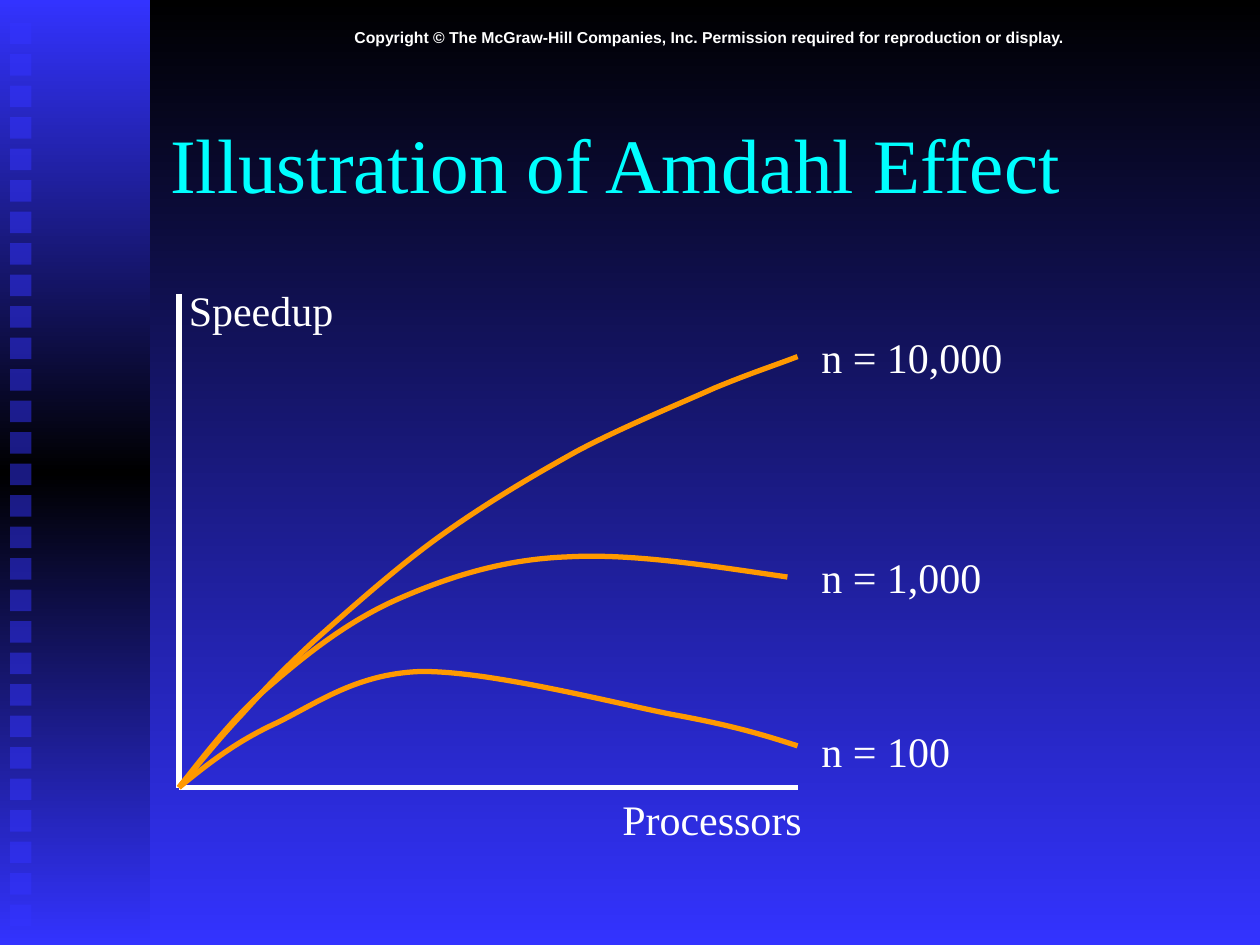
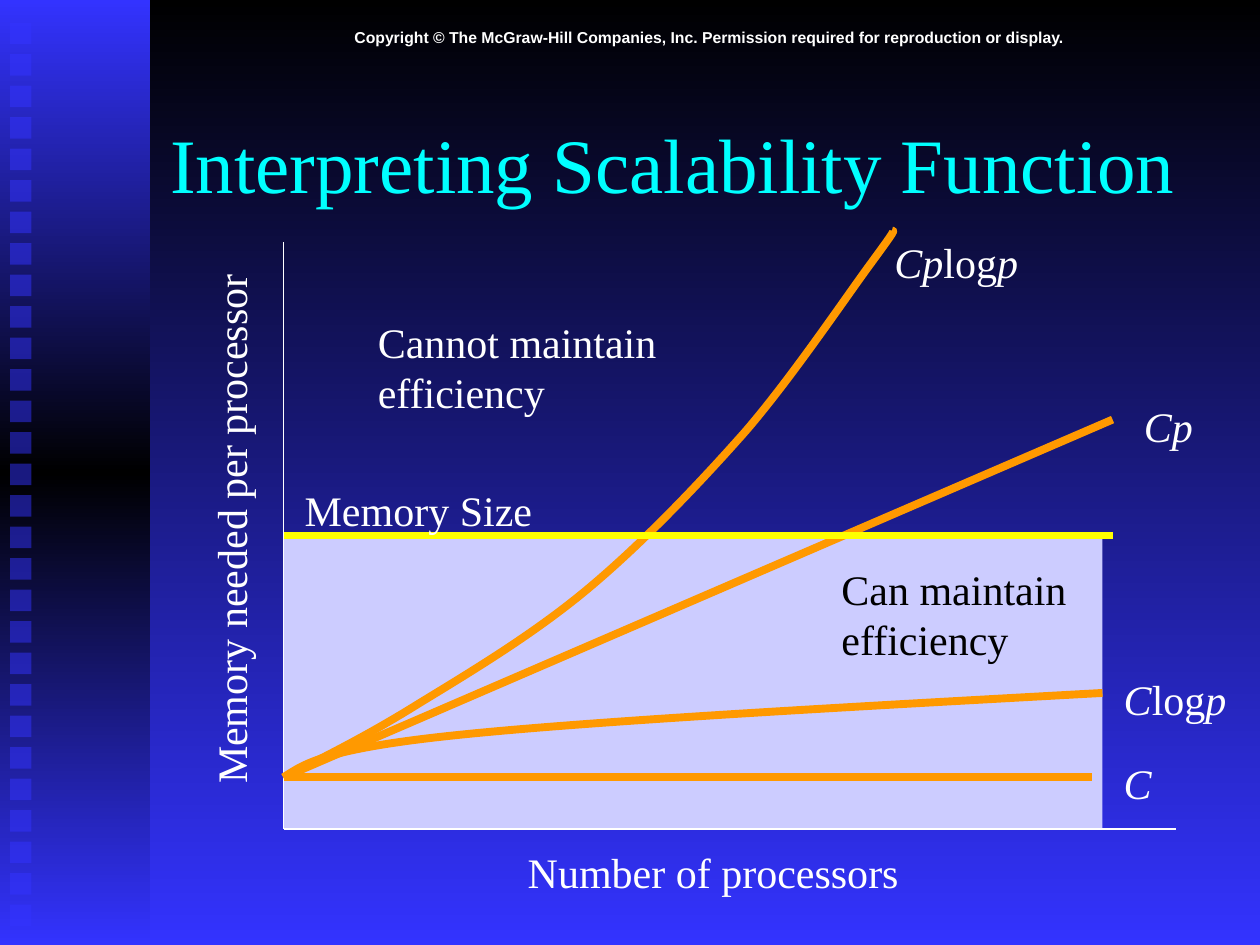
from dataclasses import dataclass
from typing import NamedTuple

from lxml import etree
from pptx import Presentation
from pptx import util as u
from pptx.dml.color import RGBColor
from pptx.enum import shapes, text
from pptx.oxml.ns import qn


@dataclass(frozen=True)
class Theme:
    black: str = "000000"
    blue: str = "3333FF"
    white: str = "FFFFFF"
    cyan: str = "00FFFF"
    orange: str = "FF9900"
    yellow: str = "FFFF00"
    lavender: str = "CCCCFF"
    serif: str = "Times New Roman"
    sans: str = "Arial"
    title_size: int = 44
    label_size: int = 24
    notice_size: int = 9


THEME = Theme()
NOTICE = ("Copyright © The McGraw-Hill Companies, Inc. "
          "Permission required for reproduction or display.")
Point = tuple[float, float]


class Area(NamedTuple):
    left: float
    top: float
    width: float
    height: float

    def lengths(self) -> list[u.Length]:
        return [u.Inches(value) for value in self]


class Label(NamedTuple):
    words: str
    area: Area
    color: str = THEME.white
    rotation: int = 0


class Line(NamedTuple):
    start: Point
    end: Point
    color: str
    width: float


class Curve(NamedTuple):
    start: Point
    controls: list[Point]
    width: float


class Series(NamedTuple):
    curve: Curve
    label: Label


def write(frame, words: str, *, size: int = THEME.label_size, font: str = THEME.serif,
          color: str = THEME.white, bold: bool = False,
          align=text.PP_ALIGN.LEFT) -> None:
    """Fill a text frame; words between asterisks are italic."""
    for number, line in enumerate(words.split("\n")):
        para = frame.paragraphs[0] if number == 0 else frame.add_paragraph()
        para.alignment = align
        for position, part in enumerate(line.split("*")):
            if part:
                span = para.add_run()
                span.text = part
                span.font.name = font
                span.font.size = u.Pt(size)
                span.font.bold = bold
                span.font.italic = position % 2 == 1
                span.font.color.rgb = RGBColor.from_string(color)


def paint_gradient(fill, owner, colors: list[str]) -> None:
    fill.gradient()
    fill.gradient_angle = 270
    stops = owner.find(".//" + qn("a:gsLst"))
    for stop in list(stops):
        stops.remove(stop)
    for number, color in enumerate(colors):
        place = str(100000 * number // (len(colors) - 1))
        stop = etree.SubElement(stops, qn("a:gs"), pos=place)
        etree.SubElement(stop, qn("a:srgbClr"), val=color)


def add_rectangle(holder, area: Area, color: str):
    box = holder.add_shape(shapes.MSO_SHAPE.RECTANGLE, *area.lengths())
    box.shadow.inherit = False
    box.line.fill.background()
    box.fill.solid()
    box.fill.fore_color.rgb = RGBColor.from_string(color)
    return box


def add_label(holder, label: Label) -> None:
    box = holder.add_textbox(*label.area.lengths())
    box.rotation = label.rotation
    box.text_frame.word_wrap = True
    box.text_frame.auto_size = text.MSO_AUTO_SIZE.NONE
    box.text_frame.margin_right = u.Inches(0)
    write(box.text_frame, label.words, color=label.color)


def style_line(line, color: str, width: float) -> None:
    line.color.rgb = RGBColor.from_string(color)
    line.width = u.Pt(width)


def add_line(holder, line: Line) -> None:
    ends = [u.Inches(value) for value in line.start + line.end]
    connector = holder.add_connector(shapes.MSO_CONNECTOR.STRAIGHT, *ends)
    style_line(connector.line, line.color, line.width)
    etree.SubElement(connector.element.spPr, qn("a:effectLst"))


def add_curve(holder, curve: Curve) -> None:
    builder = holder.build_freeform(*map(u.Inches, curve.start))
    builder.add_line_segments(
        [(u.Inches(x), u.Inches(y)) for x, y in curve.controls], close=False)
    outline = builder.convert_to_shape()
    outline.shadow.inherit = False
    outline.fill.background()
    style_line(outline.line, THEME.orange, curve.width)
    segments = outline.element.findall(".//" + qn("a:lnTo"))
    for first in range(0, len(segments), 3):
        bend = etree.Element(qn("a:cubicBezTo"))
        segments[first].addprevious(bend)
        for segment in segments[first:first + 3]:
            bend.append(segment[0])
            segment.getparent().remove(segment)


def add_page(deck, title: str):
    page = deck.slides.add_slide(deck.slide_layouts[5])
    heading = page.shapes.title
    heading.left, heading.top, heading.width, heading.height = Area(
        1.25, 0.67, 8.5, 1.25).lengths()
    heading.text_frame.auto_size = text.MSO_AUTO_SIZE.NONE
    heading.text_frame.vertical_anchor = text.MSO_ANCHOR.MIDDLE
    write(heading.text_frame, title, size=THEME.title_size, color=THEME.cyan)
    return page


def decorate_layout(layout, page) -> None:
    for holder in list(layout.placeholders):
        if holder.placeholder_format.idx != 0:
            layout.shapes.element.remove(holder.element)
    paint_gradient(layout.background.fill, layout.element, [THEME.black, THEME.blue])

    group = page.shapes.add_group_shape()
    band = add_rectangle(group.shapes, Area(0, 0, 1.19, 7.5), THEME.blue)
    paint_gradient(band.fill, band.element, [THEME.blue, THEME.black, THEME.blue])
    for row in range(29):
        square = add_rectangle(
            group.shapes, Area(0.08, 0.18 + 0.25 * row, 0.17, 0.17), THEME.blue)
        color = square.element.spPr.find(".//" + qn("a:srgbClr"))
        etree.SubElement(color, qn("a:alpha"), val="50000")

    notice = group.shapes.add_textbox(*Area(1.25, 0.17, 8.75, 0.25).lengths())
    notice.text_frame.word_wrap = True
    write(notice.text_frame, NOTICE, size=THEME.notice_size, font=THEME.sans,
          bold=True, align=text.PP_ALIGN.CENTER)
    layout.shapes.element.insert(2, group.element)


def fill_amdahl_page(page) -> None:
    origin = (1.42, 6.25)
    for end in [(1.42, 2.33), (6.33, 6.25)]:
        add_line(page.shapes, Line(origin, end, THEME.white, 3))
    all_series = [
        Series(Curve(origin, [
            (1.63, 6.08), (1.85, 5.9), (2.17, 5.75),
            (2.49, 5.6), (2.81, 5.35), (3.33, 5.33),
            (3.86, 5.32), (4.83, 5.57), (5.33, 5.67),
            (5.83, 5.76), (6.08, 5.84), (6.33, 5.92)], 3),
            Label("n = 100", Area(6.42, 5.71, 1.22, 0.5))),
        Series(Curve(origin, [
            (1.65, 5.96), (1.87, 5.67), (2.17, 5.42),
            (2.46, 5.17), (2.78, 4.92), (3.17, 4.75),
            (3.56, 4.58), (3.99, 4.44), (4.5, 4.42),
            (5.01, 4.39), (5.63, 4.49), (6.25, 4.58)], 3),
            Label("n = 1,000", Area(6.42, 4.33, 1.47, 0.5))),
        Series(Curve(origin, [
            (1.58, 6.06), (1.74, 5.86), (1.92, 5.67),
            (2.1, 5.47), (2.24, 5.32), (2.5, 5.08),
            (2.76, 4.85), (3.15, 4.5), (3.5, 4.25),
            (3.85, 4), (4.22, 3.78), (4.58, 3.58),
            (4.94, 3.39), (5.38, 3.21), (5.67, 3.08),
            (5.96, 2.96), (6.15, 2.9), (6.33, 2.83)], 3),
            Label("n = 10,000", Area(6.42, 2.58, 1.64, 0.5))),
    ]
    for series in all_series:
        group = page.shapes.add_group_shape()
        add_curve(group.shapes, series.curve)
        add_label(group.shapes, series.label)
    add_label(page.shapes, Label("Speedup", Area(1.4, 2.21, 1.35, 0.5)))
    add_label(page.shapes, Label("Processors", Area(4.84, 6.25, 1.62, 0.5)))


def fill_scalability_page(page) -> None:
    corner, start = (2.25, 6.58), (2.25, 6.17)
    add_rectangle(page.shapes, Area(2.25, 4.25, 6.5, 2.33), THEME.lavender)
    for end in [(2.25, 1.92), (9.33, 6.58)]:
        add_line(page.shapes, Line(corner, end, THEME.white, 0.75))
    for end in [(8.67, 6.17), (8.83, 3.33)]:
        add_line(page.shapes, Line(start, end, THEME.orange, 4.5))
    add_curve(page.shapes, Curve(start, [
        (2.59, 6), (2.93, 5.83), (3.33, 5.58),
        (3.74, 5.33), (4.24, 5.03), (4.67, 4.67),
        (5.1, 4.31), (5.54, 3.85), (5.92, 3.42),
        (6.29, 2.99), (6.72, 2.35), (6.92, 2.08),
        (7.11, 1.82), (7.1, 1.83), (7.08, 1.83)], 4.5))
    add_curve(page.shapes, Curve(start, [
        (2.42, 6.06), (2.58, 5.94), (3.67, 5.83),
        (4.75, 5.72), (6.75, 5.61), (8.75, 5.5)], 4.5))
    add_line(page.shapes, Line((2.25, 4.25), (8.83, 4.25), THEME.yellow, 4.5))
    labels = [
        Label("Number of processors", Area(4.09, 6.67, 3.14, 0.5)),
        Label("Memory needed per processor", Area(-0.29, 3.95, 4.24, 0.5), rotation=270),
        Label("*Cp*log*p*", Area(7, 1.83, 1.18, 0.5)),
        Label("*Cp*", Area(8.98, 3.13, 0.59, 0.5)),
        Label("*C*log*p*", Area(8.82, 5.3, 1.01, 0.5)),
        Label("*C*", Area(8.82, 5.96, 0.42, 0.5)),
        Label("Memory Size", Area(2.32, 3.8, 2, 0.5)),
        Label("Can maintain\nefficiency", Area(6.58, 4.42, 1.98, 0.9), THEME.black),
        Label("Cannot maintain\nefficiency", Area(2.9, 2.46, 2.41, 0.9)),
    ]
    for label in labels:
        add_label(page.shapes, label)


def main() -> None:
    deck = Presentation()
    deck.slide_width, deck.slide_height = u.Inches(10), u.Inches(7.5)
    amdahl_page = add_page(deck, "Illustration of Amdahl Effect")
    decorate_layout(amdahl_page.slide_layout, amdahl_page)
    fill_amdahl_page(amdahl_page)
    fill_scalability_page(add_page(deck, "Interpreting Scalability Function"))
    deck.save("out.pptx")


if __name__ == "__main__":
    main()
